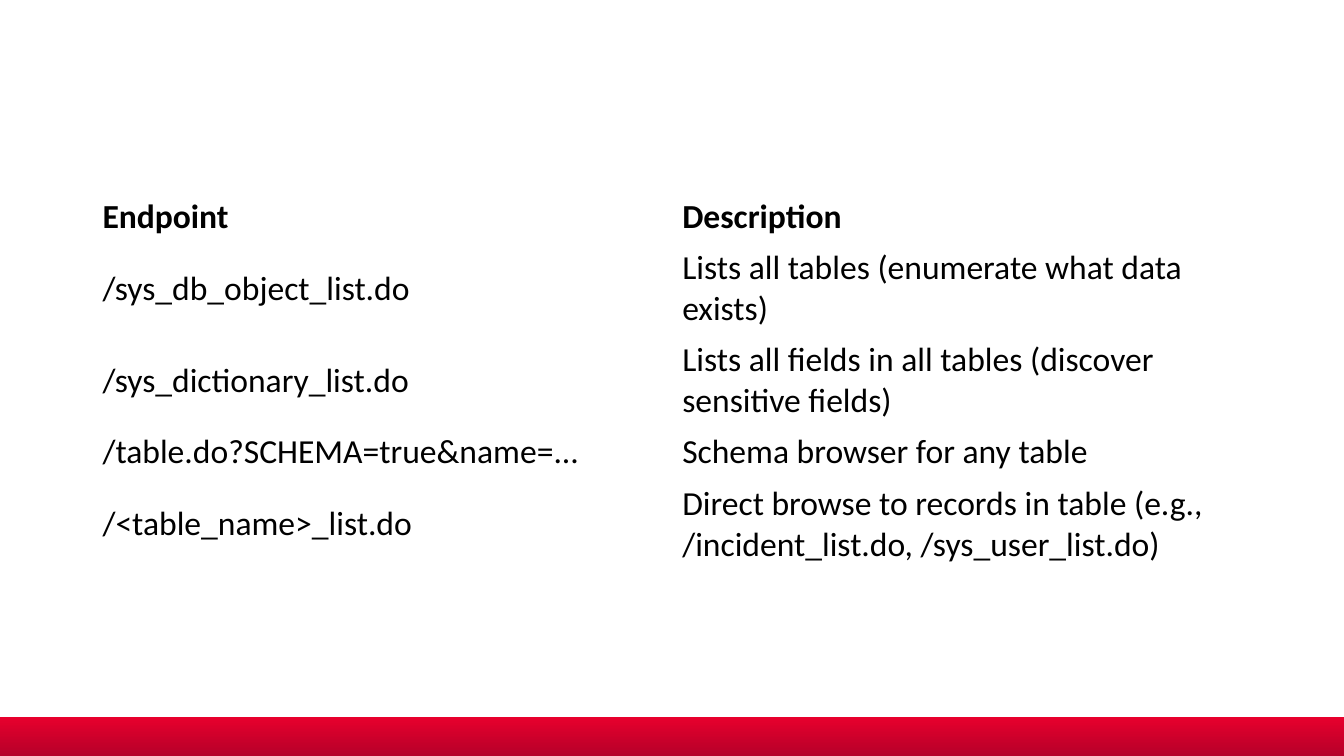
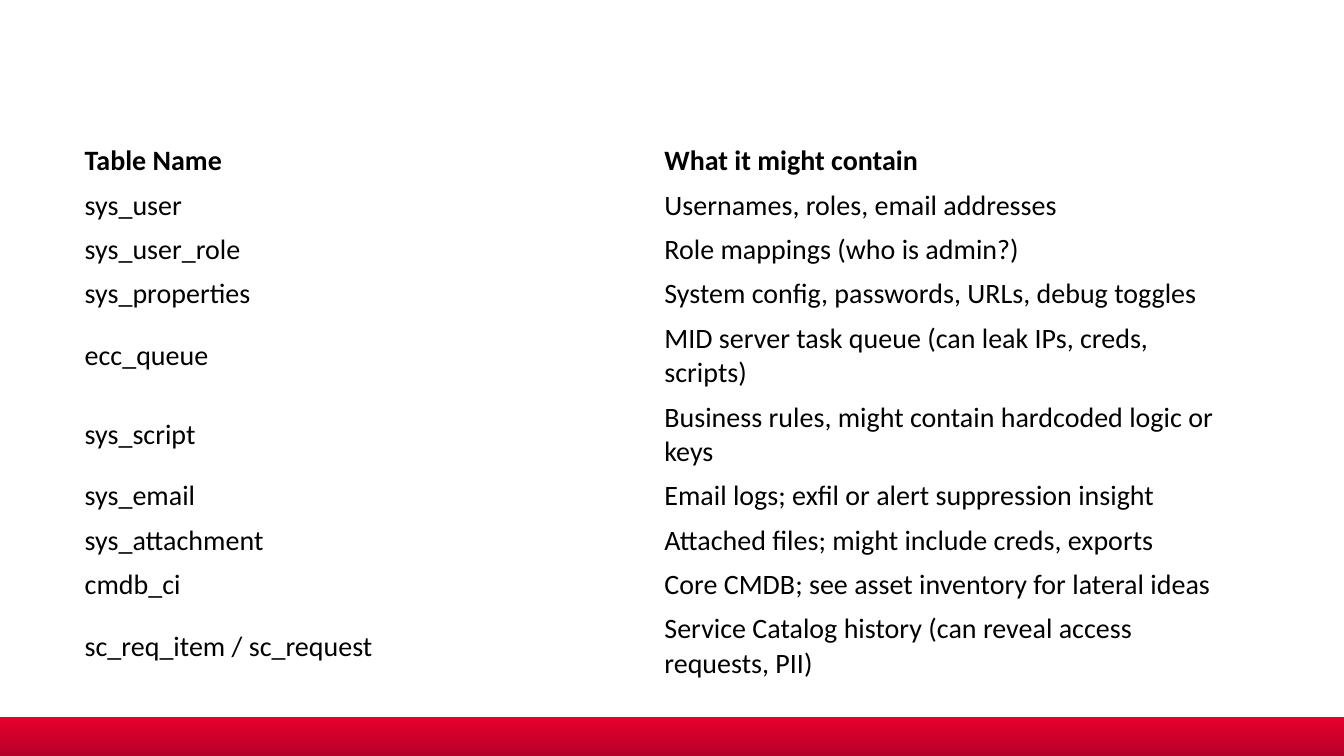
from dataclasses import dataclass
from math import ceil

from pptx import Presentation
from pptx import util as u
from pptx.dml.color import RGBColor
from pptx.enum import shapes, text


@dataclass(frozen=True)
class Theme:
    font: str = "Calibri"
    ink: RGBColor = RGBColor(0x00, 0x00, 0x00)
    band_top: RGBColor = RGBColor(0xE8, 0x00, 0x2D)
    band_bottom: RGBColor = RGBColor(0xB5, 0x00, 0x29)
    large: int = 24
    medium: int = 20
    line_spacing: float = 1.22


THEME = Theme()
PAGE_WIDTH, PAGE_HEIGHT = u.Cm(33.87), u.Cm(19.05)
BAND_TOP = u.Cm(18.06)
COLUMN_WIDTH = u.Cm(14.61)
ROW_PADDING = u.Cm(0.25)
LINE_CAPACITY = 980

TABLES = [
    {
        "left": u.Cm(2.33), "top": u.Cm(4.83), "size": THEME.large,
        "rows": [
            ("Endpoint", "Description"),
            ("/sys_db_object_list.do", "Lists all tables (enumerate what data exists)"),
            ("/sys_dictionary_list.do", "Lists all fields in all tables (discover sensitive fields)"),
            ("/table.do?SCHEMA=true&name=...", "Schema browser for any table"),
            ("/<table_name>_list.do",
             "Direct browse to records in table (e.g., /incident_list.do, /sys_user_list.do)"),
        ],
    },
    {
        "left": u.Cm(1.88), "top": u.Cm(3.5), "size": THEME.medium,
        "rows": [
            ("Table Name", "What it might contain"),
            ("sys_user", "Usernames, roles, email addresses"),
            ("sys_user_role", "Role mappings (who is admin?)"),
            ("sys_properties", "System config, passwords, URLs, debug toggles"),
            ("ecc_queue", "MID server task queue (can leak IPs, creds, scripts)"),
            ("sys_script", "Business rules, might contain hardcoded logic or keys"),
            ("sys_email", "Email logs; exfil or alert suppression insight"),
            ("sys_attachment", "Attached files; might include creds, exports"),
            ("cmdb_ci", "Core CMDB; see asset inventory for lateral ideas"),
            ("sc_req_item / sc_request", "Service Catalog history (can reveal access requests, PII)"),
        ],
    },
]


def add_band(page):
    band = page.shapes.add_shape(
        shapes.MSO_SHAPE.RECTANGLE, 0, BAND_TOP, PAGE_WIDTH, PAGE_HEIGHT - BAND_TOP)
    band.shadow.inherit = False
    band.line.fill.background()
    band.fill.gradient()
    band.fill.gradient_angle = 270
    for stop, color, position in zip(
            band.fill.gradient_stops, (THEME.band_top, THEME.band_bottom), (0, 1)):
        stop.color.rgb = color
        stop.position = position


def row_height(row, size):
    lines = max(ceil(len(entry) * size / LINE_CAPACITY) for entry in row)
    return u.Pt(lines * size * THEME.line_spacing) + ROW_PADDING


def fill_cell(cell, entry, size, bold):
    cell.fill.background()
    cell.vertical_anchor = text.MSO_ANCHOR.MIDDLE
    cell.text_frame.text = entry
    font = cell.text_frame.paragraphs[0].runs[0].font
    font.name, font.size, font.bold = THEME.font, u.Pt(size), bold
    font.color.rgb = THEME.ink


def add_listing(page, left, top, size, rows):
    heights = [row_height(row, size) for row in rows]
    columns = len(rows[0])
    table = page.shapes.add_table(
        len(rows), columns, left, top, columns * COLUMN_WIDTH, sum(heights)).table
    table.horz_banding = False
    for index, (row, height) in enumerate(zip(rows, heights)):
        table.rows[index].height = height
        for column, entry in enumerate(row):
            fill_cell(table.cell(index, column), entry, size, bold=index == 0)


def main():
    deck = Presentation()
    deck.slide_width, deck.slide_height = PAGE_WIDTH, PAGE_HEIGHT
    blank = deck.slide_layouts.get_by_name("Blank")
    for listing in TABLES:
        page = deck.slides.add_slide(blank)
        add_band(page)
        add_listing(page, **listing)
    deck.save("out.pptx")


if __name__ == "__main__":
    main()
